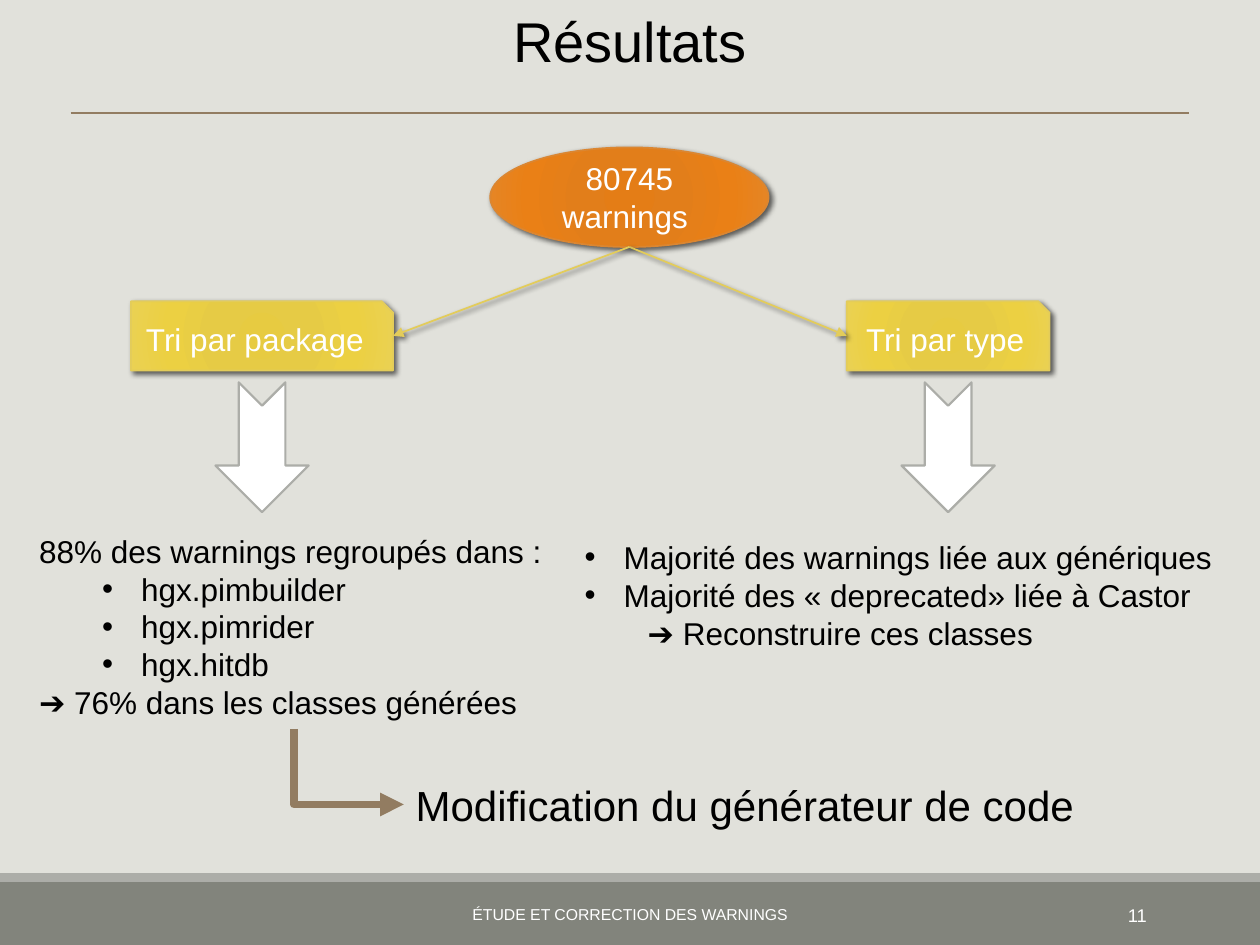
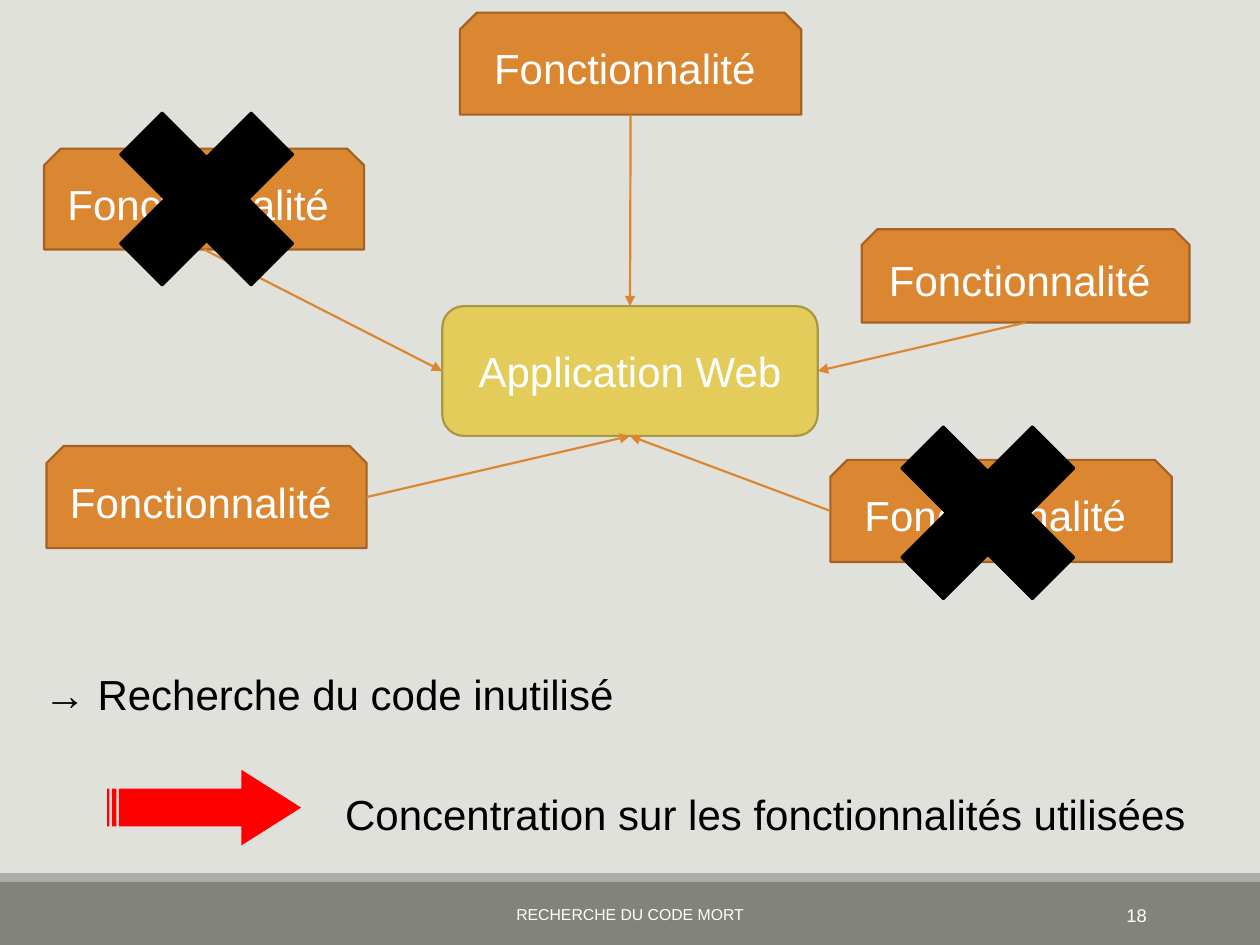
"""Build two slides on sorting code warnings and searching for dead code."""
from lxml import etree
from pptx import Presentation
from pptx.dml.color import RGBColor
from pptx.enum.shapes import MSO_CONNECTOR, MSO_SHAPE
from pptx.enum.text import MSO_ANCHOR, MSO_AUTO_SIZE, PP_ALIGN
from pptx.oxml import parse_xml
from pptx.oxml.ns import nsdecls, qn
from pptx.util import Inches, Pt

RECTANGLE = MSO_SHAPE.RECTANGLE
ELLIPSE = MSO_SHAPE.OVAL
ROUNDED = MSO_SHAPE.ROUNDED_RECTANGLE
SNIPPED_ONE = MSO_SHAPE.SNIP_1_RECTANGLE
SNIPPED_TOP = MSO_SHAPE.SNIP_2_SAME_RECTANGLE
NOTCHED_ARROW = MSO_SHAPE.NOTCHED_RIGHT_ARROW
STRIPED_ARROW = MSO_SHAPE.STRIPED_RIGHT_ARROW
CROSS = MSO_SHAPE.MATH_MULTIPLY
STRAIGHT, ELBOW = MSO_CONNECTOR.STRAIGHT, MSO_CONNECTOR.ELBOW
LEFT, CENTER, RIGHT = PP_ALIGN.LEFT, PP_ALIGN.CENTER, PP_ALIGN.RIGHT
TOP, MIDDLE = MSO_ANCHOR.TOP, MSO_ANCHOR.MIDDLE
SIDE_TOP, SIDE_LEFT, SIDE_BOTTOM, SIDE_RIGHT = range(4)
TWO_CONTENT, BLANK = 3, 6

FONT = "Arial"
BLACK = RGBColor(0x00, 0x00, 0x00)
WHITE = RGBColor(0xFF, 0xFF, 0xFF)
RED = RGBColor(0xFF, 0x00, 0x00)
PAPER = RGBColor(0xE1, 0xE1, 0xDB)
FOOTER_GRAY = RGBColor(0x82, 0x84, 0x7C)
LIGHT_GRAY = RGBColor(0xAC, 0xAD, 0xA8)
BROWN = RGBColor(0x92, 0x7C, 0x61)
ORANGE = RGBColor(0xDB, 0x86, 0x31)
DARK_ORANGE = RGBColor(0xA2, 0x63, 0x24)
YELLOW = RGBColor(0xE3, 0xCC, 0x5A)
DARK_YELLOW = RGBColor(0xA8, 0x97, 0x43)
ORANGE_GLOW = ((0, "E47D16"), (34, "E27E1A"), (70, "EA8016"), (100, "E48628"))
YELLOW_GLOW = ((0, "E7CB41"), (34, "E6CB45"), (70, "ECD042"), (100, "EAD153"))


def write(box, text, size, color=BLACK, align=LEFT, anchor=TOP):
    """Write one paragraph in a box."""
    frame = box.text_frame
    frame.word_wrap = True
    frame.auto_size = MSO_AUTO_SIZE.NONE
    frame.vertical_anchor = anchor
    para = frame.paragraphs[0]
    para.text, para.alignment = text, align
    style(para, size, color)


def style(para, size, color):
    """Set the font of a paragraph."""
    para.font.name, para.font.size = FONT, Pt(size)
    para.font.color.rgb = color


def place(shape, left, top, width, height):
    """Move and size a placeholder."""
    shape.left, shape.top = Inches(left), Inches(top)
    shape.width, shape.height = Inches(width), Inches(height)


def add_text(page, at, text, size, **options):
    """Add a text box."""
    box = page.shapes.add_textbox(*map(Inches, at))
    write(box, text, size, **options)


def add_figure(page, kind, at, fill, line=None, text="", size=24, weight=1.25):
    """Add a flat preset shape with optional white centred text."""
    shape = page.shapes.add_shape(kind, *map(Inches, at))
    shape.shadow.inherit = False
    shape.fill.solid()
    shape.fill.fore_color.rgb = fill
    if line is None:
        shape.line.fill.background()
    else:
        shape.line.color.rgb, shape.line.width = line, Pt(weight)
    if text:
        write(shape, text, size, WHITE, CENTER, MIDDLE)
    return shape


def add_shadow(shape):
    """Give a shape or connector a soft shadow to the lower right."""
    effects = shape.element.spPr.find(qn("a:effectLst"))
    effects.append(parse_xml(
        f'<a:outerShdw {nsdecls("a")} blurRad="{Pt(3)}" dist="{Pt(2)}" dir="2700000"'
        ' rotWithShape="0"><a:srgbClr val="000000"><a:alpha val="60000"/>'
        '</a:srgbClr></a:outerShdw>'))


def add_glowing(page, kind, at, stops, line, text):
    """Add a shape with a radial gradient and a shadow."""
    shape = add_figure(page, kind, at, line, line, text, 18, 1)
    shape.fill.gradient()
    gradient = shape.element.spPr.find(qn("a:gradFill"))
    marks = "".join(f'<a:gs pos="{pos * 1000}"><a:srgbClr val="{color}"/></a:gs>'
                    for pos, color in stops)
    gradient.getparent().replace(gradient, parse_xml(
        f'<a:gradFill {nsdecls("a")} rotWithShape="1"><a:gsLst>{marks}</a:gsLst>'
        '<a:path path="circle"><a:fillToRect l="100000" t="100000" r="100000"'
        ' b="100000"/></a:path></a:gradFill>'))
    add_shadow(shape)
    return shape


def side_point(shape, side):
    """Return the middle of one side of a shape."""
    across, down = {SIDE_TOP: (1, 0), SIDE_LEFT: (0, 1),
                    SIDE_BOTTOM: (1, 2), SIDE_RIGHT: (2, 1)}[side]
    return (shape.left + shape.width * across // 2,
            shape.top + shape.height * down // 2)


def add_line(page, start, end, color, weight, arrow=True, kind=STRAIGHT):
    """Add a flat connector, with an arrowhead at its end if wanted."""
    line = page.shapes.add_connector(kind, *start, *end)
    line.line.color.rgb, line.line.width = color, Pt(weight)
    properties = line.element.spPr
    if arrow:
        etree.SubElement(properties.find(qn("a:ln")), qn("a:tailEnd"), type="triangle")
    etree.SubElement(properties, qn("a:effectLst"))
    return line


def fill_list(body, at, items):
    """Fill a body placeholder with (text, level, margin, bulleted) items."""
    place(body, *at)
    frame = body.text_frame
    frame.word_wrap = True
    frame.auto_size = MSO_AUTO_SIZE.NONE
    for index, (text, level, margin, bulleted) in enumerate(items):
        para = frame.add_paragraph() if index else frame.paragraphs[0]
        para.text, para.level, para.space_before = text, level, Pt(0)
        style(para, 18, BLACK)
        properties = para._p.get_or_add_pPr()
        properties.set("marL", str(Inches(margin)))
        properties.set("indent", str(Inches(-0.31 if bulleted else 0)))
        if bulleted:
            etree.SubElement(properties, qn("a:buFont"), typeface=FONT)
            etree.SubElement(properties, qn("a:buChar"), char="•")
        else:
            etree.SubElement(properties, qn("a:buNone"))


def add_page(deck, layout, footer, number):
    """Add a slide with the footer bands, footer text and number."""
    page = deck.slides.add_slide(deck.slide_layouts[layout])
    add_figure(page, RECTANGLE, (0, 7, 10, 0.5), FOOTER_GRAY)
    add_figure(page, RECTANGLE, (0, 6.93, 10, 0.07), LIGHT_GRAY)
    add_text(page, (3.02, 7.06, 3.96, 0.4), footer, 9,
             color=WHITE, align=CENTER, anchor=MIDDLE)
    add_text(page, (8.12, 7.06, 1.08, 0.4), number, 10.5,
             color=WHITE, align=RIGHT, anchor=MIDDLE)
    return page


def build_results(deck):
    """Build the slide that sorts the warnings by package and by type."""
    page = add_page(deck, TWO_CONTENT, "ÉTUDE ET CORRECTION DES WARNINGS", "11")
    title, packages, types = page.placeholders
    place(title, 0.01, 0, 9.98, 0.64)
    write(title, "Résultats", 32, align=CENTER)
    add_line(page, (Inches(0.56), Inches(0.9)), (Inches(9.44), Inches(0.9)),
             BROWN, 1.25, arrow=False)

    total = add_glowing(page, ELLIPSE, (3.89, 1.17, 2.21, 0.79), ORANGE_GLOW,
                        ORANGE, "80745 warnings ")
    for text, left, width, side in (("Tri par type", 6.72, 1.61, SIDE_LEFT),
                                    ("Tri par package ", 1.04, 2.08, SIDE_RIGHT)):
        sort = add_glowing(page, SNIPPED_ONE, (left, 2.39, width, 0.55),
                           YELLOW_GLOW, YELLOW, text)
        add_shadow(add_line(page, side_point(total, SIDE_BOTTOM),
                            side_point(sort, side), YELLOW, 1))
        arrow = add_figure(page, NOTCHED_ARROW,
                           (left + width / 2 - 0.515, 3.18, 1.03, 0.74),
                           WHITE, LIGHT_GRAY)
        arrow.rotation = 90

    names = ("hgx.pimbuilder", "hgx.pimrider", "hgx.hitdb")
    fill_list(packages, (0.21, 4.17, 4.3, 1.62), [
        ("88% des warnings regroupés dans :", 0, 0, False),
        *((name, 1, 0.81, True) for name in names),
        ("➔ 76% dans les classes générées", 0, 0, False)])
    fill_list(types, (4.54, 4.22, 5.3, 1.01), [
        ("Majorité des warnings liée aux génériques", 0, 0.31, True),
        ("Majorité des «\u00a0deprecated» liée à Castor", 0, 0.31, True),
        ("➔ Reconstruire ces classes", 1, 0.5, False)])

    add_text(page, (3.2, 6.14, 5.6, 0.5), "Modification du générateur de code", 24)
    bend = add_line(page, (Inches(3.07), Inches(5.65)), (Inches(2.47), Inches(6.52)),
                    BROWN, 4.5, kind=ELBOW)
    bend.element.spPr.find(qn("a:xfrm")).set("rot", "16200000")
    bend.element.spPr.find(qn("a:prstGeom")).set("prst", "bentConnector2")


def build_dead_code(deck):
    """Build the slide that crosses out the unused features."""
    page = add_page(deck, BLANK, "RECHERCHE DU CODE MORT", "18")
    application = add_figure(page, ROUNDED, (3.51, 2.43, 2.98, 1.03), YELLOW,
                             DARK_YELLOW, "Application Web")
    features = (((6.84, 1.82, 2.6, 0.74), SIDE_BOTTOM, SIDE_RIGHT),
                ((0.37, 3.54, 2.54, 0.81), SIDE_RIGHT, SIDE_BOTTOM),
                ((6.59, 3.65, 2.71, 0.81), SIDE_LEFT, SIDE_BOTTOM),
                ((0.35, 1.18, 2.54, 0.8), SIDE_BOTTOM, SIDE_LEFT),
                ((3.65, 0.1, 2.71, 0.81), SIDE_BOTTOM, SIDE_TOP))
    for at, leaving, arriving in features:
        feature = add_figure(page, SNIPPED_TOP, at, ORANGE, DARK_ORANGE,
                             "Fonctionnalité ")
        link = add_line(page, side_point(feature, leaving),
                        side_point(application, arriving), ORANGE, 1.25)
        link.end_connect(application, arriving)
    for left, top in ((6.84, 3.07), (0.64, 0.58)):
        add_figure(page, CROSS, (left, top, 2, 2), BLACK, BLACK)

    add_text(page, (0.25, 5.26, 9.49, 0.5), "→ Recherche du code inutilisé", 24)
    add_text(page, (2.64, 6.21, 7.32, 0.5),
             "Concentration sur les fonctionnalités utilisées", 24)
    arrow = add_figure(page, STRIPED_ARROW, (0.85, 6.11, 1.54, 0.6), RED)
    arrow.adjustments[0], arrow.adjustments[1] = 0.5, 0.79


def main():
    """Build and save the deck."""
    deck = Presentation()
    deck.slide_width, deck.slide_height = Inches(10), Inches(7.5)
    background = deck.slide_master.background.fill
    background.solid()
    background.fore_color.rgb = PAPER
    build_results(deck)
    build_dead_code(deck)
    deck.save("out.pptx")


if __name__ == "__main__":
    main()
